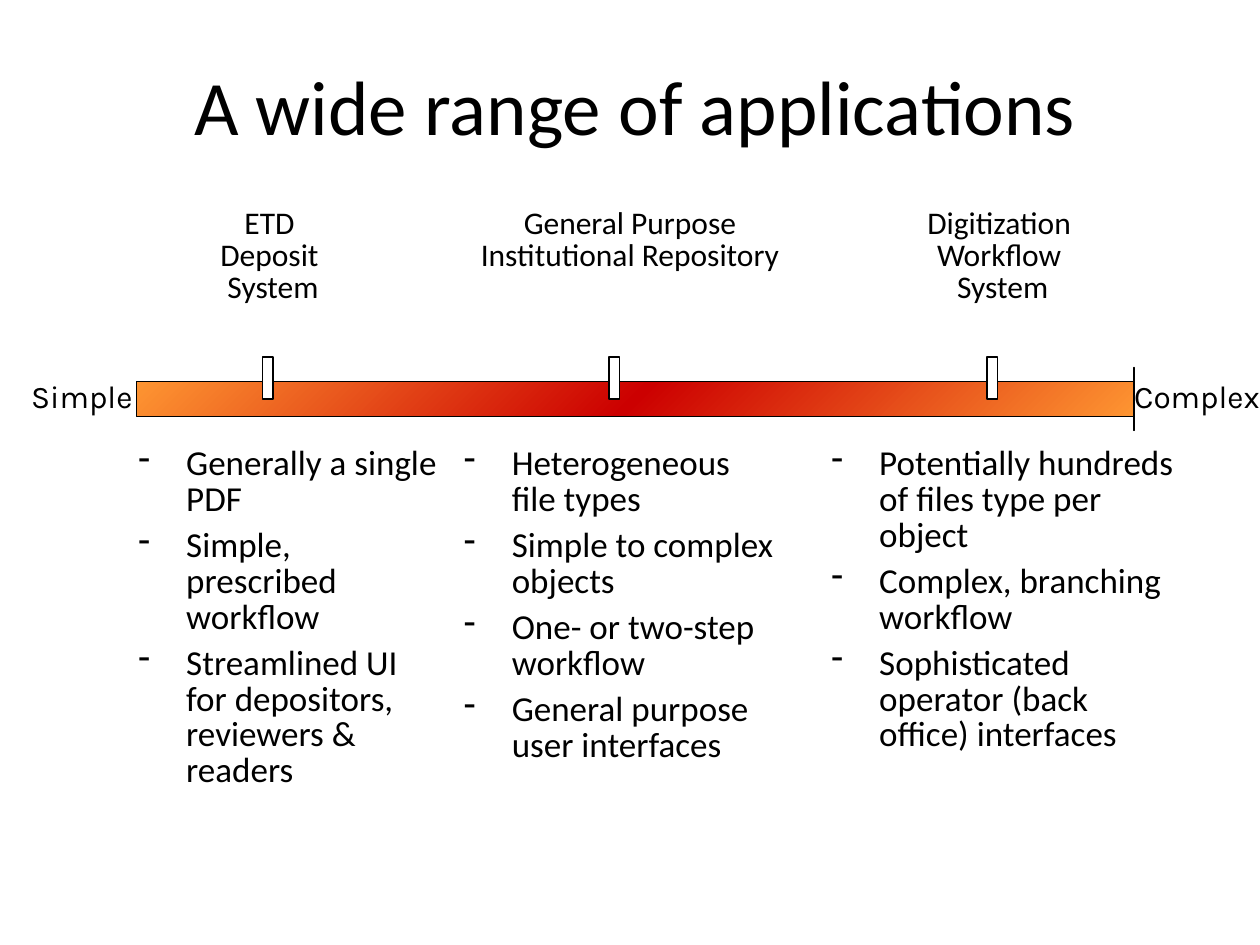
from copy import deepcopy
from lxml import etree
from pptx import Presentation, util as u
from pptx.dml.color import RGBColor
from pptx.enum import shapes, text
from pptx.oxml import ns

BLACK = RGBColor(0x00, 0x00, 0x00)
WHITE = RGBColor(0xFF, 0xFF, 0xFF)
ORANGE = RGBColor(0xFF, 0x99, 0x33)
RED = RGBColor(0xCC, 0x00, 0x00)

deck = Presentation()
deck.slide_width, deck.slide_height = u.Inches(10), u.Inches(7.5)
slide = deck.slides.add_slide(deck.slide_layouts[6])

# Grid of 120 columns by 90 rows
CELL = deck.slide_width / 120


def place(*cells):
    return [u.Emu(round(cell * CELL)) for cell in cells]


def write(box, paragraphs, size, font="Calibri", spacing=None, bulleted=False):
    label = slide.shapes.add_textbox(*place(*box))
    frame = label.text_frame
    frame.word_wrap = True
    frame.auto_size = text.MSO_AUTO_SIZE.SHAPE_TO_FIT_TEXT
    for i, words in enumerate(paragraphs):
        paragraph = frame.paragraphs[0] if i == 0 else frame.add_paragraph()
        paragraph.text = words
        paragraph.alignment = text.PP_ALIGN.LEFT if bulleted else text.PP_ALIGN.CENTER
        if spacing:
            paragraph.line_spacing = spacing
            paragraph.space_before = u.Pt(6)
        if bulleted:
            properties = paragraph._p.get_or_add_pPr()
            properties.set("marL", str(u.Inches(0.38)))
            properties.set("indent", str(-u.Inches(0.38)))
            etree.SubElement(properties, ns.qn("a:buChar"), char="-")
        for run in paragraph.runs:
            run.font.size = u.Pt(size)
            run.font.name = font
            run.font.color.rgb = BLACK


# Title
write((10, 5, 101, 10), ["A wide range of applications"], 44)

# Scale from simple to complex
scale = slide.shapes.add_shape(shapes.MSO_SHAPE.RIGHT_ARROW, *place(13, 35, 95, 6))
scale.shadow.inherit = False
scale.adjustments[0], scale.adjustments[1] = 0.56, 0
scale.line.color.rgb = BLACK
scale.line.width = u.Pt(0.75)
scale.fill.gradient()
scale.fill.gradient_angle = 315
stop_list = scale._element.spPr.find(".//" + ns.qn("a:gsLst"))
stop_list.insert(1, deepcopy(stop_list[0]))
for stop, position, color in zip(scale.fill.gradient_stops, (0, 0.5, 1), (ORANGE, RED, ORANGE)):
    stop.position = position
    stop.color.rgb = color

for left, end_name in ((-1.2, "Simple"), (105, "Complex")):
    write((left, 35.3, 18, 4.8), [end_name], 18, font="Karla")

# Applications: heading, marker on the scale, features
applications = [
    ((9, 34), "ETD \vDeposit \vSystem", 25, (12, 31),
     ["Generally a single PDF", "Simple, prescribed workflow",
      "Streamlined UI for depositors, reviewers & readers"]),
    ((43, 34), "General Purpose Institutional Repository", 58, (43, 32),
     ["Heterogeneous file types", "Simple to complex objects",
      "One- or two-step workflow", "General purpose user interfaces"]),
    ((74, 43), "Digitization \vWorkflow \vSystem", 94, (78, 35),
     ["Potentially hundreds of files type per object", "Complex, branching workflow",
      "Sophisticated operator (back office) interfaces"]),
]
for (head_left, head_width), heading, tick, (list_left, list_width), features in applications:
    write((head_left, 19.3, head_width, 10.5), [heading], 18, spacing=0.85)
    marker = slide.shapes.add_shape(shapes.MSO_SHAPE.RECTANGLE, *place(tick, 34, 1, 4))
    marker.shadow.inherit = False
    marker.fill.solid()
    marker.fill.fore_color.rgb = WHITE
    marker.line.color.rgb = BLACK
    marker.line.width = u.Pt(0.75)
    write((list_left, 42, list_width, 32), features, 20, spacing=0.85, bulleted=True)

deck.save("out.pptx")
